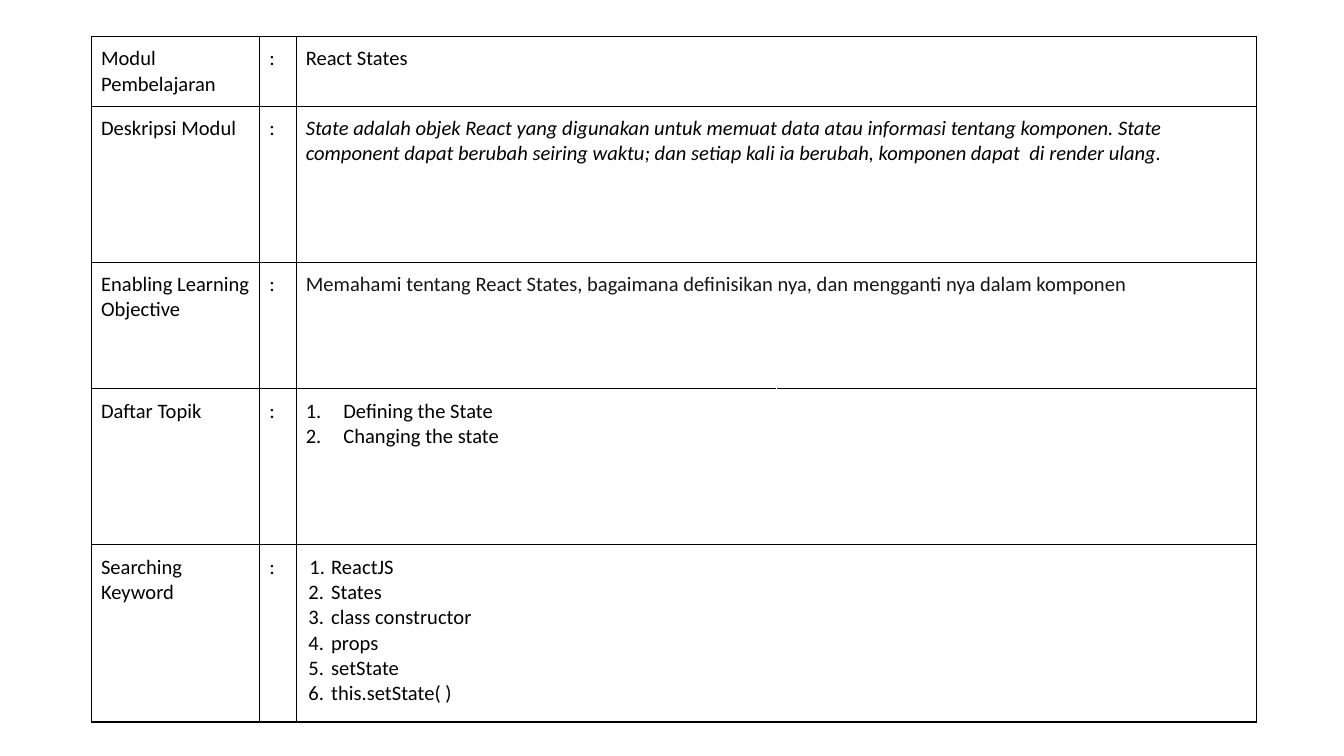
from lxml import etree
from pptx import Presentation
from pptx.dml.color import RGBColor
from pptx.enum.text import PP_ALIGN
from pptx.oxml.ns import qn
from pptx.util import Cm, Pt

JUSTIFY = PP_ALIGN.JUSTIFY

# Content: label, lines of text, and how the lines are shown
MODULE_ROWS = [
    {"label": "Modul Pembelajaran", "lines": ["React States"]},
    {"label": "Deskripsi Modul", "italic": True, "lines": [
        "State adalah objek React yang digunakan untuk memuat data atau informasi "
        "tentang komponen. State component dapat berubah seiring waktu; dan setiap "
        "kali ia berubah, komponen dapat  di render ulang."]},
    {"label": "Enabling Learning Objective", "color": "soft", "align": JUSTIFY, "lines": [
        "Memahami tentang React States, bagaimana definisikan nya, "
        "dan mengganti nya dalam komponen"]},
    {"label": "Daftar Topik", "hanging": [(0.71, 0.71)] * 2, "split": True,
     "lines": ["Defining the State", "Changing the state"]},
    {"label": "Searching Keyword", "hanging": [(0.48, 0.41)] + [(0.48, 0.43)] * 5,
     "lines": ["ReactJS", "States", "class constructor", "props",
               "setState", "this.setState( )"]},
]

THEME = {"font": "Calibri", "size": Pt(11), "text": "000000", "soft": "171616",
         "border": "000000", "hidden": "FFFFFF", "border_width": Pt(0.75)}

# Layout in centimetres
SLIDE_SIZE = (25.4, 14.29)
TABLE_LEFT, TABLE_TOP = 1.73, 0.69
COLUMN_WIDTHS = [3.18, 0.69, 9.07, 9.07]
ROW_HEIGHTS = [1.04, 2.95, 2.39, 2.95, 3.35]
CELL_MARGIN = 0.18


def set_borders(cell, hidden_side=None):
    properties = cell._tc.get_or_add_tcPr()
    for side in ("lnL", "lnR", "lnT", "lnB"):
        line = etree.SubElement(properties, qn(f"a:{side}"), w=str(THEME["border_width"]))
        fill = etree.SubElement(line, qn("a:solidFill"))
        color = THEME["hidden" if side == hidden_side else "border"]
        etree.SubElement(fill, qn("a:srgbClr"), val=color)


def number_paragraph(paragraph, left, hanging):
    properties = paragraph._p.get_or_add_pPr()
    properties.set("marL", str(Cm(left)))
    properties.set("indent", str(-Cm(hanging)))
    bullet_color = etree.SubElement(properties, qn("a:buClr"))
    etree.SubElement(bullet_color, qn("a:srgbClr"), val=THEME["text"])
    etree.SubElement(properties, qn("a:buFont"), typeface=THEME["font"])
    etree.SubElement(properties, qn("a:buAutoNum"), type="arabicPeriod")


def write_cell(cell, lines, italic=False, color="text", align=None, hanging=()):
    cell.text_frame.text = "\n".join(lines)
    for index, paragraph in enumerate(cell.text_frame.paragraphs):
        if align is not None:
            paragraph.alignment = align
        if hanging:
            number_paragraph(paragraph, *hanging[index])
        for run in paragraph.runs:
            run.font.name = THEME["font"]
            run.font.size = THEME["size"]
            run.font.italic = italic
            run.font.color.rgb = RGBColor.from_string(THEME[color])


presentation = Presentation()
presentation.slide_width, presentation.slide_height = map(Cm, SLIDE_SIZE)
slide = presentation.slides.add_slide(presentation.slide_layouts[6])

# Table grid
table = slide.shapes.add_table(
    len(ROW_HEIGHTS), len(COLUMN_WIDTHS), Cm(TABLE_LEFT), Cm(TABLE_TOP),
    Cm(sum(COLUMN_WIDTHS)), Cm(sum(ROW_HEIGHTS))).table
table.first_row = table.horz_banding = False
for column, width in zip(table.columns, COLUMN_WIDTHS):
    column.width = Cm(width)
for row, height in zip(table.rows, ROW_HEIGHTS):
    row.height = Cm(height)

# Rows: label, colon, content across the last two columns
for row, entry in zip(table.rows, MODULE_ROWS):
    label_cell, colon_cell, content_cell, last_cell = row.cells
    split = entry.get("split", False)
    hidden_sides = (None, None, "lnR", "lnL") if split else (None,) * 4
    for cell, hidden_side in zip(row.cells, hidden_sides):
        cell.margin_left = cell.margin_right = Cm(CELL_MARGIN)
        cell.margin_top = cell.margin_bottom = Cm(CELL_MARGIN)
        set_borders(cell, hidden_side)
        cell.fill.background()
    if not split:
        content_cell.merge(last_cell)
    style = {key: value for key, value in entry.items()
             if key not in ("label", "lines", "split")}
    write_cell(label_cell, [entry["label"]])
    write_cell(colon_cell, [":"])
    write_cell(content_cell, entry["lines"], **style)

presentation.save("out.pptx")
